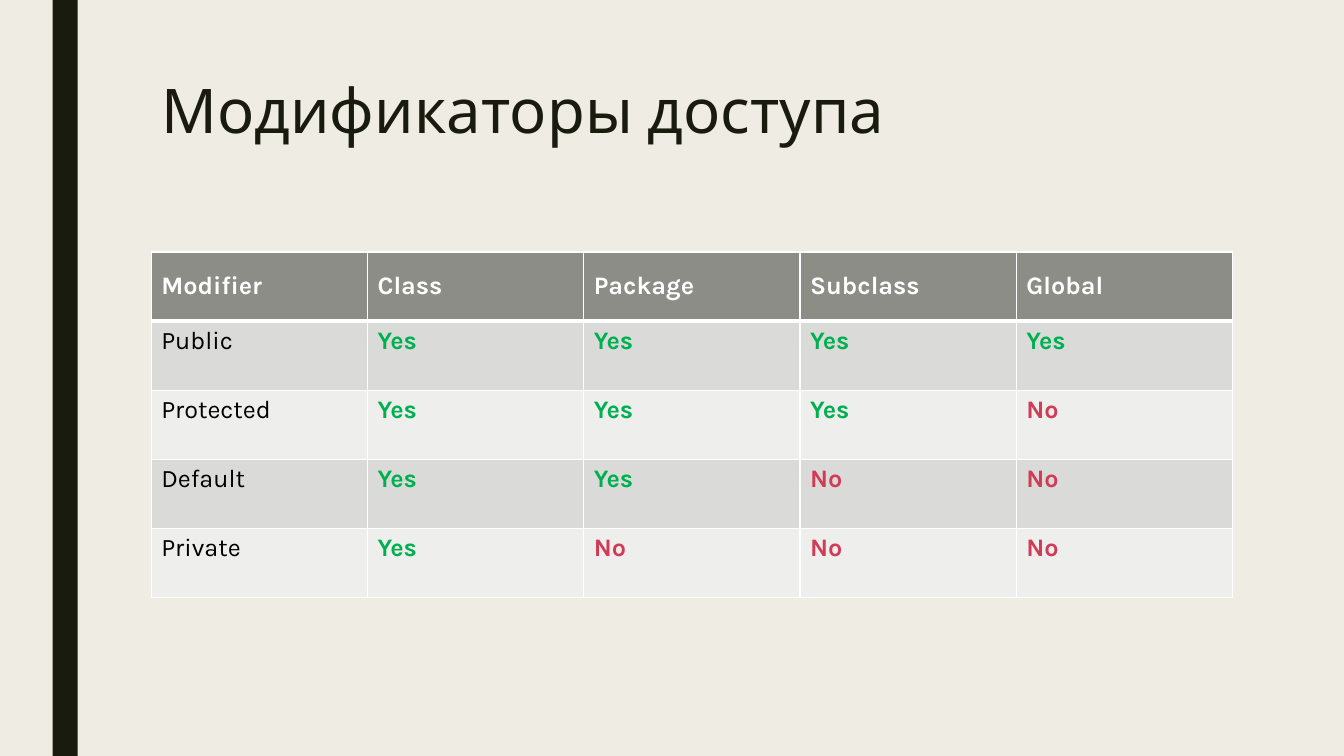
from lxml.etree import SubElement
from pptx import Presentation
from pptx.dml.color import RGBColor
from pptx.enum.shapes import MSO_SHAPE
from pptx.enum.text import MSO_ANCHOR, PP_ALIGN
from pptx.oxml.ns import qn
from pptx.util import Pt

# Content
TITLE = "Модификаторы доступа"
ROWS = [
    ("Modifier", "Class", "Package", "Subclass", "Global"),
    ("Public", "Yes", "Yes", "Yes", "Yes"),
    ("Protected", "Yes", "Yes", "Yes", "No"),
    ("Default", "Yes", "Yes", "No", "No"),
    ("Private", "Yes", "No", "No", "No"),
]

# Style
FONT = "Karla"
DARK, CREAM, WHITE, BLACK = "191B0E", "EFEDE3", "FFFFFF", "000000"
HEADER_FILL = "8C8D86"
BAND_FILLS = ("EEEEED", "DADBD9")
ANSWER_COLORS = {"Yes": "00B050", "No": "D13B56"}
COL_WIDTH, ROW_HEIGHT = 154.5, 49.4


def rgb(value):
    return RGBColor.from_string(value)


def format_text(p, size, color, bold=False):
    for r in p.runs:
        r.font.name = FONT
        r.font.size = Pt(size)
        r.font.bold = bold
        r.font.color.rgb = rgb(color)


def add_borders(cell, widths):
    tcPr = cell._tc.get_or_add_tcPr()
    for side, width in widths.items():
        ln = SubElement(tcPr, qn(f"a:ln{side}"), w=str(Pt(width)))
        fill = SubElement(ln, qn("a:solidFill"))
        SubElement(fill, qn("a:srgbClr"), val=WHITE)


def main():
    prs = Presentation()
    prs.slide_width, prs.slide_height = Pt(960), Pt(540)
    s = prs.slides.add_slide(prs.slide_layouts[5])
    s.background.fill.solid()
    s.background.fill.fore_color.rgb = rgb(CREAM)

    # Side bar
    bar = s.shapes.add_shape(MSO_SHAPE.RECTANGLE, Pt(37.5), 0, Pt(18), prs.slide_height)
    bar.shadow.inherit = False
    bar.fill.solid()
    bar.fill.fore_color.rgb = rgb(DARK)
    bar.line.fill.background()

    # Title
    title = s.shapes.title
    title.left, title.top, title.width, title.height = Pt(108), Pt(54), Pt(756), Pt(117)
    tf = title.text_frame
    tf.text = TITLE
    tf.word_wrap = True
    tf.vertical_anchor = MSO_ANCHOR.TOP
    p = tf.paragraphs[0]
    p.alignment = PP_ALIGN.LEFT
    p.line_spacing = 0.89
    format_text(p, 44, DARK)

    # Table grid
    n_rows, n_cols = len(ROWS), len(ROWS[0])
    table = s.shapes.add_table(n_rows, n_cols, Pt(108), Pt(180),
                               Pt(COL_WIDTH * n_cols), Pt(ROW_HEIGHT * n_rows)).table
    for column in table.columns:
        column.width = Pt(COL_WIDTH)
    for row in table.rows:
        row.height = Pt(ROW_HEIGHT)

    # Table cells: heavy rule under the header, banded rows below
    for i, values in enumerate(ROWS):
        header = i == 0
        for j, value in enumerate(values):
            cell = table.cell(i, j)
            add_borders(cell, {"L": 1, "R": 1, "T": 3 if i == 1 else 1, "B": 3 if header else 1})
            cell.fill.solid()
            cell.fill.fore_color.rgb = rgb(HEADER_FILL if header else BAND_FILLS[i % 2])
            cell.text_frame.text = value
            p = cell.text_frame.paragraphs[0]
            if header:
                p.line_spacing = 1.5
            color = WHITE if header else ANSWER_COLORS.get(value, BLACK)
            format_text(p, 18, color, bold=header or j > 0)

    prs.save("out.pptx")


if __name__ == "__main__":
    main()
